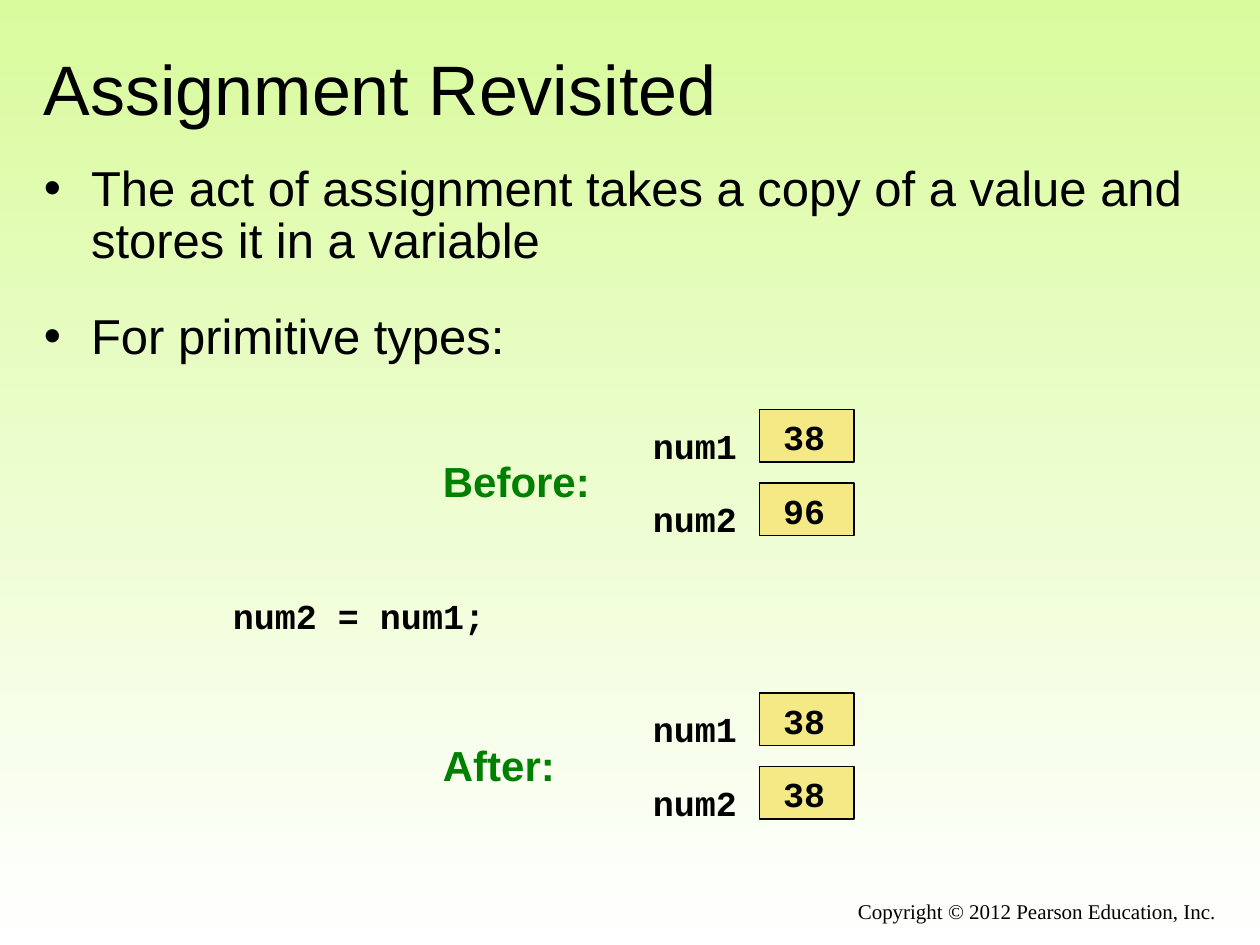
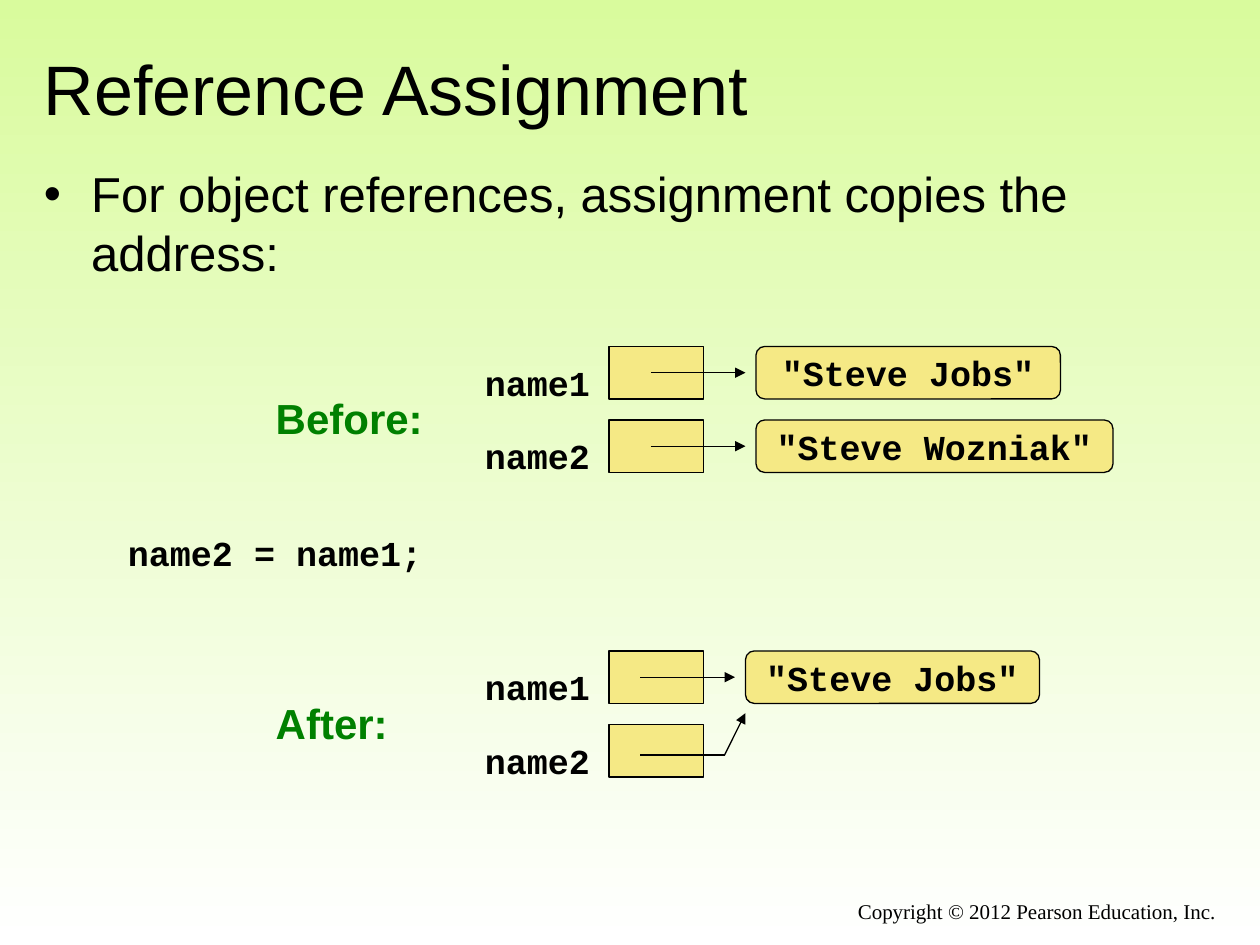
from lxml import etree
from pptx import Presentation
from pptx.dml.color import RGBColor
from pptx.enum.shapes import MSO_CONNECTOR, MSO_SHAPE
from pptx.enum.text import MSO_ANCHOR, PP_ALIGN
from pptx.oxml.ns import qn
from pptx.util import Pt

RECT, ROUND = MSO_SHAPE.RECTANGLE, MSO_SHAPE.ROUNDED_RECTANGLE
STRAIGHT = MSO_CONNECTOR.STRAIGHT
TOP, MIDDLE = MSO_ANCHOR.TOP, MSO_ANCHOR.MIDDLE
LEFT, CENTER, RIGHT = PP_ALIGN.LEFT, PP_ALIGN.CENTER, PP_ALIGN.RIGHT

# Content
COPYRIGHT = "Copyright © 2012 Pearson Education, Inc."
SLIDES = [
    {
        "title": "Assignment Revisited",
        "bullets": ["The act of assignment takes a copy of a value and "
                    "stores it in a variable",
                    "For primitive types:"],
        "body": (684, 140), "spacing": (0.9, 24.5),
        "statement": ("num2 = num1;", 126, 336),
        "columns": {"heading": 246, "name": 366, "cell": 434},
        "states": [
            {"heading": "Before:", "top": 234,
             "variables": [("num1", "38"), ("num2", "96")]},
            {"heading": "After:", "top": 396,
             "variables": [("num1", "38"), ("num2", "38")]},
        ],
    },
    {
        "title": "Reference Assignment",
        "bullets": ["For object references, assignment copies the address:"],
        "body": (672, 90), "spacing": (1.0, 28),
        "statement": ("name2 = name1;", 66, 300),
        "columns": {"heading": 150.5, "name": 270, "cell": 348},
        # objects: (row, text, left, width)
        "states": [
            {"heading": "Before:", "top": 198,
             "variables": [("name1", ""), ("name2", "")],
             "objects": [(0, '"Steve Jobs"', 432, 174),
                         (1, '"Steve Wozniak"', 432, 204)]},
            {"heading": "After:", "top": 372,
             "variables": [("name1", ""), ("name2", "")],
             "objects": [(0, '"Steve Jobs"', 426, 168)],
             "shared": [(366, 431.5), (414, 431.5), (426, 407.5)]},
        ],
    },
]

# Shared style
COLORS = {"top": "D9FB9D", "bottom": "FFFFFF", "cell": "F5E985",
          "ink": "000000", "heading": "008000"}
TITLE = {"size": 40, "font": "Arial"}
BODY = {"size": 28, "font": "Arial"}
HEADING = {"size": 24, "font": "Arial", "bold": True, "color": "heading"}
CODE = {"size": 20, "font": "Courier New", "bold": True}
FOOTER = {"size": 12, "font": "Times New Roman"}
CELL_W, CELL_H, ROW_PITCH = 54, 30, 42
CHAR_W, INSET_X, INSET_Y = 12, 7.2, 3.6
SLACK = 5  # spare width that keeps a label on one line
ARROW_LEN, ARROW_GAP = 54, 6


def rgb(name):
    return RGBColor.from_string(COLORS[name])


def write(p, text, size, font, bold=False, color="ink"):
    r = p.add_run()
    r.text = text
    r.font.size, r.font.name, r.font.bold = Pt(size), font, bold
    r.font.color.rgb = rgb(color)


def set_frame(tf, wrap=True, anchor=TOP, inset_x=INSET_X):
    tf.word_wrap, tf.vertical_anchor = wrap, anchor
    tf.margin_left = tf.margin_right = Pt(inset_x)
    tf.margin_top = tf.margin_bottom = Pt(INSET_Y)


def add_text(shapes, text, box, style, anchor=TOP, align=LEFT):
    tf = shapes.add_textbox(*map(Pt, box)).text_frame
    set_frame(tf, anchor=anchor)
    p = tf.paragraphs[0]
    p.alignment = align
    write(p, text, **style)


def add_code(shapes, text, x, y):
    width = CHAR_W * len(text) + 2 * INSET_X + SLACK
    add_text(shapes, text, (x, y, width, 31.5), CODE)


def add_bullets(shapes, bullets, size, spacing):
    tf = shapes.add_textbox(Pt(18), Pt(90), *map(Pt, size)).text_frame
    set_frame(tf)
    for i, text in enumerate(bullets):
        p = tf.add_paragraph() if i else tf.paragraphs[0]
        p.line_spacing = spacing[0]
        if i:
            p.space_before = Pt(spacing[1])
        pPr = p._p.get_or_add_pPr()
        pPr.set("marL", str(Pt(27)))
        pPr.set("indent", str(-Pt(27)))
        etree.SubElement(pPr, qn("a:buFont")).set("typeface", "Arial")
        etree.SubElement(pPr, qn("a:buChar")).set("char", "•")
        write(p, text, **BODY)


def add_box(shapes, kind, box, text, anchor=MIDDLE, align=CENTER,
            inset_x=INSET_X):
    sp = shapes.add_shape(kind, *map(Pt, box))
    sp.shadow.inherit = False
    sp.fill.solid()
    sp.fill.fore_color.rgb = rgb("cell")
    sp.line.color.rgb, sp.line.width = rgb("ink"), Pt(0.75)
    set_frame(sp.text_frame, False, anchor, inset_x)
    if text:
        p = sp.text_frame.paragraphs[0]
        p.alignment = align
        write(p, text, **CODE)


def add_line(shapes, start, end, arrow=True):
    cn = shapes.add_connector(STRAIGHT, *map(Pt, start + end))
    cn.line.color.rgb, cn.line.width = rgb("ink"), Pt(0.75)
    if arrow:
        ln = cn.line._get_or_add_ln()
        etree.SubElement(ln, qn("a:tailEnd")).set("type", "triangle")
    etree.SubElement(cn._element.spPr, qn("a:effectLst"))


def add_state(shapes, state, columns):
    # Variables: a name beside a memory cell
    for row, (name, value) in enumerate(state["variables"]):
        y = state["top"] + row * ROW_PITCH
        add_box(shapes, RECT, (columns["cell"], y, CELL_W, CELL_H), value,
                TOP, LEFT, inset_x=13.5)
        add_code(shapes, name, columns["name"], y + 5)
    add_text(shapes, state["heading"],
             (columns["heading"], state["top"] + 23, 98 + SLACK, 36), HEADING)

    # Objects and the arrows that refer to them
    for row, text, x, width in state.get("objects", []):
        y = state["top"] + row * ROW_PITCH
        add_box(shapes, ROUND, (x, y, width, CELL_H), text)
        tip, mid = x - ARROW_GAP, y + CELL_H / 2
        add_line(shapes, (tip - ARROW_LEN, mid), (tip, mid))
    if "shared" in state:
        start, bend, tip = state["shared"]
        add_line(shapes, start, bend, arrow=False)
        add_line(shapes, bend, tip)


def add_slide(prs, content):
    shapes = prs.slides.add_slide(prs.slide_layouts[6]).shapes
    add_text(shapes, content["title"], (18, 22, 684, 56), TITLE,
             anchor=MIDDLE)
    add_bullets(shapes, content["bullets"], content["body"],
                content["spacing"])
    add_code(shapes, *content["statement"])
    for state in content["states"]:
        group = shapes.add_group_shape()
        add_state(group.shapes, state, content["columns"])
    add_text(shapes, COPYRIGHT, (264, 510, 438, 24.5), FOOTER, align=RIGHT)


def main():
    prs = Presentation()
    prs.slide_width, prs.slide_height = Pt(720), Pt(540)

    # Background shared by all slides
    fill = prs.slide_master.background.fill
    fill.gradient()
    fill.gradient_angle = 270
    for stop, name in zip(fill.gradient_stops, ("top", "bottom")):
        stop.color.rgb = rgb(name)

    for content in SLIDES:
        add_slide(prs, content)
    prs.save("out.pptx")


if __name__ == "__main__":
    main()
